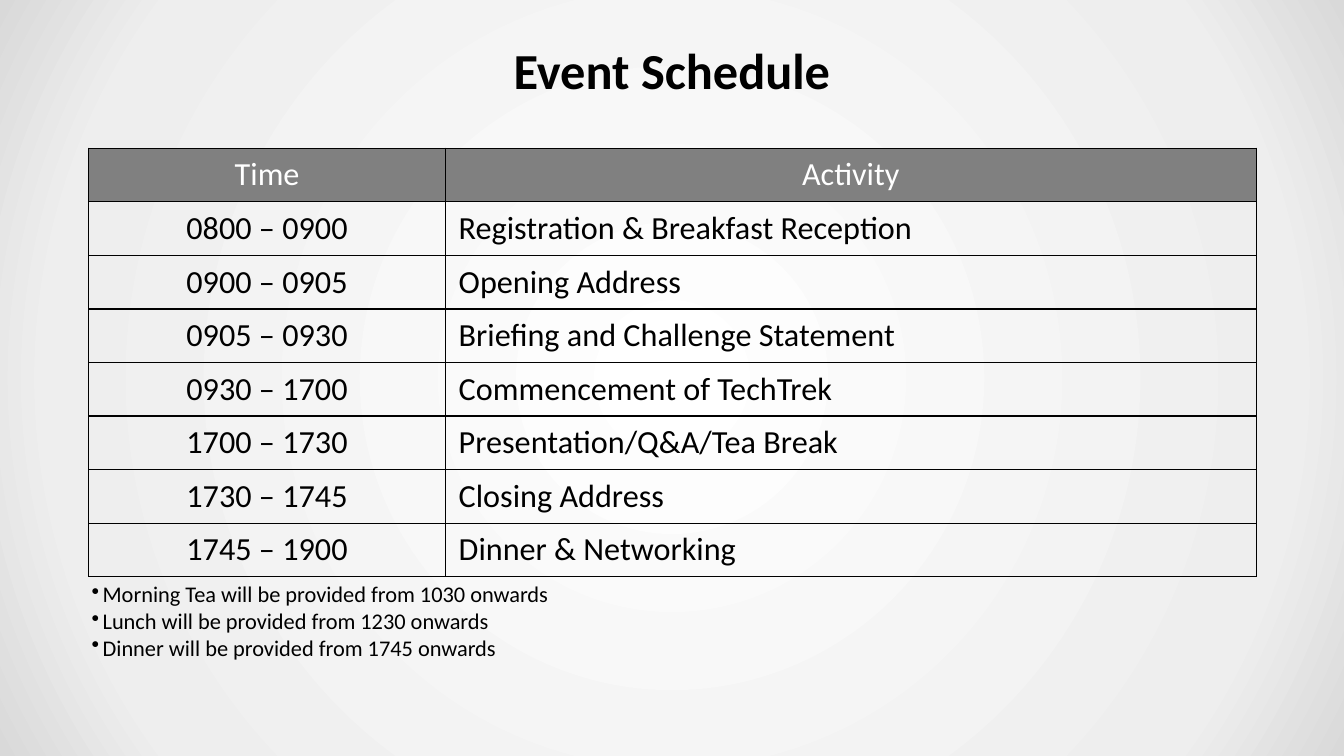
from pptx import Presentation
from pptx import oxml
from pptx import util as u
from pptx.dml.color import RGBColor
from pptx.enum import text
from pptx.oxml import ns

WIDTH, HEIGHT = 13.33, 7.5
FONT = "Calibri"
BLACK = RGBColor(0x00, 0x00, 0x00)
WHITE = RGBColor(0xFF, 0xFF, 0xFF)
HEADER_GREY = RGBColor(0x80, 0x80, 0x80)
LIGHT_GREY = RGBColor(0xEE, 0xEE, 0xEE)
EDGE_GREY = RGBColor(0xD9, 0xD9, 0xD9)
GLOW_STOPS = [(0, WHITE), (81, LIGHT_GREY), (100, EDGE_GREY)]

COLUMN_WIDTHS = [3.54, 8.04]
ROW_HEIGHTS = [0.53] * 5 + [0.52] * 3
SCHEDULE = [
    ("Time", "Activity"),
    ("0800 – 0900", "Registration & Breakfast Reception"),
    ("0900 – 0905", "Opening Address"),
    ("0905 – 0930", "Briefing and Challenge Statement"),
    ("0930 – 1700", "Commencement of TechTrek"),
    ("1700 – 1730", "Presentation/Q&A/Tea Break"),
    ("1730 – 1745", "Closing Address"),
    ("1745 – 1900", "Dinner & Networking"),
]
MEALS = [("Morning Tea", "1030"), ("Lunch", "1230"), ("Dinner", "1745")]


def write_text(paragraph, content, size, color=BLACK, bold=False,
               align=text.PP_ALIGN.LEFT):
    """Put one formatted run into a paragraph."""
    paragraph.alignment = align
    run = paragraph.add_run()
    run.text = content
    run.font.name = FONT
    run.font.size = u.Pt(size)
    run.font.bold = bold
    run.font.color.rgb = color


def set_insets(holder):
    """Give a cell or text frame the common inner margins."""
    holder.margin_left = holder.margin_right = u.Inches(0.13)
    holder.margin_top = holder.margin_bottom = u.Inches(0.07)


def paint_background(slide):
    """Fill the slide with a circular glow from its centre."""
    slide.background.fill.gradient()
    gradient = slide.element.find(".//" + ns.qn("a:gradFill"))
    stops = "".join(
        f'<a:gs pos="{share * 1000}"><a:srgbClr val="{color}"/></a:gs>'
        for share, color in GLOW_STOPS)
    glow = oxml.parse_xml(
        f'<a:gradFill {ns.nsdecls("a")} rotWithShape="1"><a:gsLst>{stops}</a:gsLst>'
        '<a:path path="circle"><a:fillToRect l="50000" t="50000" r="50000" b="50000"/>'
        '</a:path></a:gradFill>')
    gradient.getparent().replace(gradient, glow)


def add_title(slide, content):
    """Place and format the title placeholder."""
    title = slide.shapes.title
    title.left, title.top = u.Inches(WIDTH * 0.05), u.Inches(HEIGHT * 0.04)
    title.width, title.height = u.Inches(WIDTH * 0.9), u.Inches(0.78)
    frame = title.text_frame
    frame.vertical_anchor = text.MSO_ANCHOR.MIDDLE
    set_insets(frame)
    write_text(frame.paragraphs[0], content, 36, bold=True,
               align=text.PP_ALIGN.CENTER)


def add_borders(cell):
    """Draw a thin black line on each side of a cell."""
    properties = cell._tc.get_or_add_tcPr()
    for position, side in enumerate(("lnL", "lnR", "lnT", "lnB")):
        properties.insert(position, oxml.parse_xml(
            f'<a:{side} {ns.nsdecls("a")} w="{u.Pt(1)}"><a:solidFill>'
            f'<a:srgbClr val="{BLACK}"/></a:solidFill></a:{side}>'))


def add_schedule(slide, left, top):
    """Add the table of times and activities."""
    table = slide.shapes.add_table(
        len(SCHEDULE), len(COLUMN_WIDTHS), u.Inches(left), u.Inches(top),
        u.Inches(sum(COLUMN_WIDTHS)), u.Inches(sum(ROW_HEIGHTS))).table
    table.first_row = table.horz_banding = False
    for column, width in zip(table.columns, COLUMN_WIDTHS):
        column.width = u.Inches(width)
    for row, height in zip(table.rows, ROW_HEIGHTS):
        row.height = u.Inches(height)
    for row_index, entry in enumerate(SCHEDULE):
        header = row_index == 0
        for column_index, content in enumerate(entry):
            cell = table.cell(row_index, column_index)
            set_insets(cell)
            if header:
                cell.fill.solid()
                cell.fill.fore_color.rgb = HEADER_GREY
            else:
                cell.fill.background()
            add_borders(cell)
            centred = header or column_index == 0
            write_text(cell.text_frame.paragraphs[0], content, 23,
                       color=WHITE if header else BLACK,
                       align=text.PP_ALIGN.CENTER if centred else text.PP_ALIGN.LEFT)


def add_bullet(paragraph, indent):
    """Give a paragraph a round bullet with a hanging indent."""
    properties = paragraph._p.get_or_add_pPr()
    properties.set("marL", str(u.Inches(indent)))
    properties.set("indent", str(-u.Inches(indent)))
    properties.append(oxml.parse_xml(f'<a:buChar {ns.nsdecls("a")} char="•"/>'))


def add_meal_notes(slide, left, top, width, height):
    """List when each meal is provided."""
    frame = slide.shapes.add_textbox(
        *map(u.Inches, (left, top, width, height))).text_frame
    frame.word_wrap = True
    for index, (meal, time) in enumerate(MEALS):
        paragraph = frame.add_paragraph() if index else frame.paragraphs[0]
        write_text(paragraph, f"{meal} will be provided from {time} onwards", 16)
        add_bullet(paragraph, 0.11)


def main():
    """Build and save the event schedule slide."""
    presentation = Presentation()
    presentation.slide_width = u.Inches(WIDTH)
    presentation.slide_height = u.Inches(HEIGHT)
    slide = presentation.slides.add_slide(presentation.slide_layouts[5])
    paint_background(slide)
    add_title(slide, "Event Schedule")
    add_schedule(slide, 0.88, 1.47)
    add_meal_notes(slide, 0.81, 5.71, 4.81, 0.91)
    presentation.save("out.pptx")


if __name__ == "__main__":
    main()
